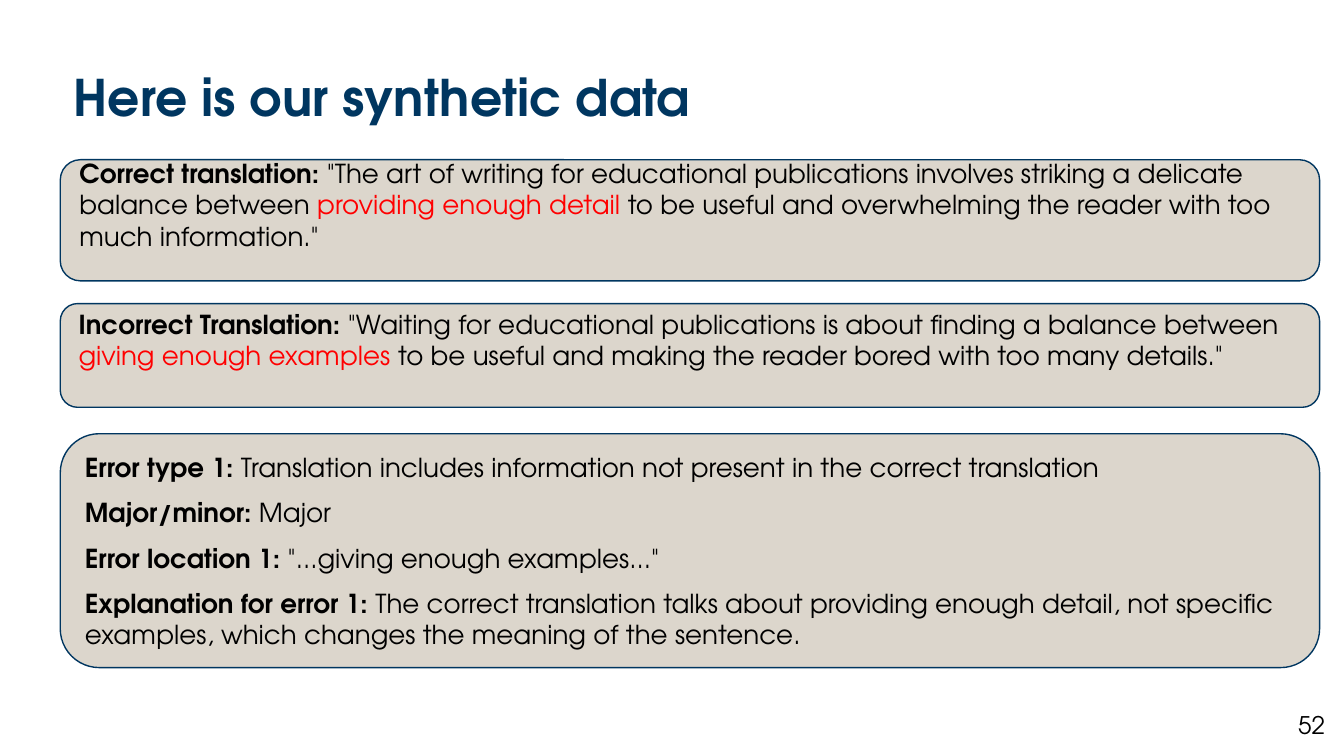
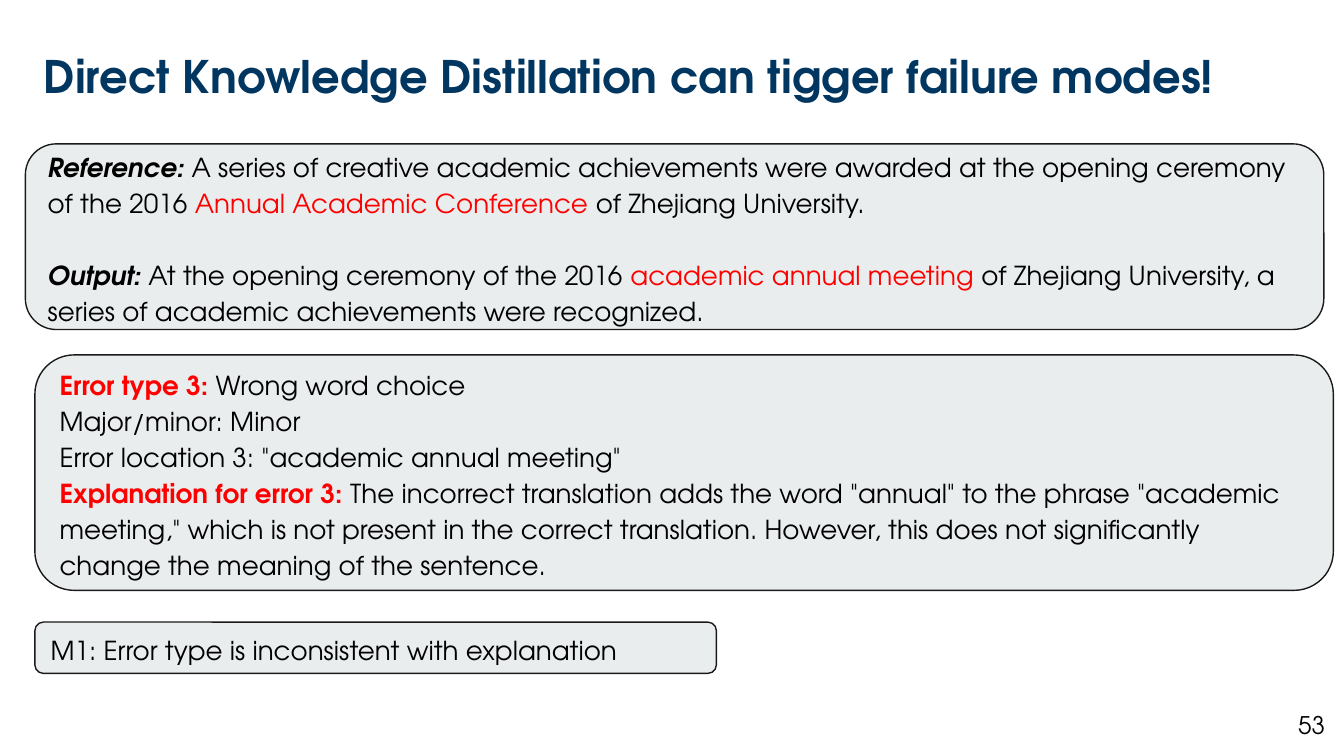
from dataclasses import dataclass
from pptx import Presentation
from pptx.dml.color import RGBColor
from pptx.enum.shapes import MSO_SHAPE
from pptx.enum.text import MSO_ANCHOR, PP_ALIGN
from pptx.util import Cm, Pt

FONT = "TeX Gyre Adventor"
NAVY = RGBColor(0x00, 0x36, 0x60)
SAND = RGBColor(0xDC, 0xD6, 0xCC)
MIST = RGBColor(0xE9, 0xED, 0xEE)
INK = RGBColor(0x1A, 0x1A, 0x1A)
BLACK = RGBColor(0x00, 0x00, 0x00)
RED = RGBColor(0xFF, 0x00, 0x00)
PAD = 0.25


@dataclass(frozen=True)
class Span:
    text: str
    bold: bool = False
    slant: bool = False
    color: RGBColor = BLACK


@dataclass(frozen=True)
class Theme:
    fill: RGBColor
    edge: RGBColor
    pitch: float


@dataclass(frozen=True)
class Card:
    left: float
    top: float
    width: float
    height: float
    lines: list[list[Span]]
    gap: float = 0
    foot: float = PAD


@dataclass(frozen=True)
class Page:
    title: str
    left: float
    top: float
    size: float
    number: int
    theme: Theme
    cards: list[Card]


def write(para, text: str, *, size: float = 14, color: RGBColor = BLACK,
          bold: bool = False, slant: bool = False) -> None:
    run = para.add_run()
    run.text = text
    font = run.font
    font.name, font.size = FONT, Pt(size)
    font.bold, font.italic = bold, slant
    font.color.rgb = color


def frame(shape, side: float = PAD, rim: float = PAD, foot: float = PAD):
    body = shape.text_frame
    body.word_wrap = True
    body.margin_left = body.margin_right = Cm(side)
    body.margin_top, body.margin_bottom = Cm(rim), Cm(foot)
    return body


def label(slide, text: str, left: float, top: float, width: float,
          height: float, rim: float, pitch: float, align: PP_ALIGN,
          **look) -> None:
    box = slide.shapes.add_textbox(Cm(left), Cm(top), Cm(width), Cm(height))
    para = frame(box, rim=rim, foot=rim).paragraphs[0]
    para.alignment = align
    para.line_spacing = pitch
    write(para, text, **look)


def panel(slide, card: Card, theme: Theme) -> None:
    shape = slide.shapes.add_shape(
        MSO_SHAPE.ROUNDED_RECTANGLE, Cm(card.left), Cm(card.top),
        Cm(card.width), Cm(card.height))
    shape.shadow.inherit = False
    shape.fill.solid()
    shape.fill.fore_color.rgb = theme.fill
    shape.line.color.rgb = theme.edge
    shape.line.width = Pt(0.75)
    body = frame(shape, foot=card.foot)
    body.vertical_anchor = MSO_ANCHOR.MIDDLE
    for index, spans in enumerate(card.lines):
        para = body.add_paragraph() if index else body.paragraphs[0]
        para.alignment = PP_ALIGN.LEFT
        para.line_spacing = theme.pitch
        para.space_before = Pt(card.gap if index else 0)
        for span in spans:
            write(para, span.text, color=span.color, bold=span.bold,
                  slant=span.slant)


def render(deck, page: Page) -> None:
    slide = deck.slides.add_slide(deck.slide_layouts[6])
    label(slide, page.title, page.left, page.top, 23.14, 0.97, 0.13, 0.9,
          PP_ALIGN.LEFT, size=page.size, color=NAVY, bold=True)
    for card in page.cards:
        panel(slide, card, page.theme)
    label(slide, str(page.number), 23.77, 13.18, 1.52, 1.09, PAD, 1.0,
          PP_ALIGN.RIGHT, size=13)


PAGES = [
    Page("Here is our synthetic data", 1.14, 1.24, 27, 52,
         Theme(SAND, NAVY, 1.0), [
             Card(1.14, 3.02, 23.8, 2.29, [[
                 Span("Correct translation: ", bold=True),
                 Span('"The art of writing for educational publications '
                      'involves striking a delicate balance between '),
                 Span("providing enough detail", color=RED),
                 Span(' to be useful and overwhelming the reader with too '
                      'much information."'),
             ]], foot=0.85),
             Card(1.14, 5.74, 23.8, 1.96, [[
                 Span("Incorrect Translation:", bold=True),
                 Span(' "Waiting for educational publications is about '
                      'finding a balance between '),
                 Span("giving enough examples ", color=RED),
                 Span('to be useful and making the reader bored with too '
                      'many details."'),
             ]], foot=0.85),
             Card(1.14, 8.2, 23.8, 4.42, [
                 [Span("Error type 1:", bold=True),
                  Span(" Translation includes information not present in "
                       "the correct translation")],
                 [Span("Major/minor: ", bold=True), Span("Major")],
                 [Span("Error location 1: ", bold=True),
                  Span('"...giving enough examples..."')],
                 [Span("Explanation for error 1:", bold=True),
                  Span(" The correct translation talks about providing "
                       "enough detail, not specific examples, which changes "
                       "the meaning of the sentence.")],
             ], gap=7.5),
         ]),
    Page("Direct Knowledge Distillation can tigger failure modes!",
         0.58, 0.91, 24, 53, Theme(MIST, INK, 1.15), [
             Card(0.48, 2.72, 24.54, 3.51, [
                 [Span("Reference: ", bold=True, slant=True),
                  Span("A series of creative academic achievements were "
                       "awarded at the opening ceremony of the 2016 "),
                  Span("Annual Academic Conference", color=RED),
                  Span(" of Zhejiang University.")],
                 [Span("Output: ", bold=True, slant=True),
                  Span("At the opening ceremony of the 2016 "),
                  Span("academic annual meeting", color=RED),
                  Span(" of Zhejiang University, a series of academic "
                       "achievements were recognized.")],
             ], gap=19.3),
             Card(0.66, 6.71, 24.54, 4.45, [
                 [Span("Error type 3:", bold=True, color=RED),
                  Span(" Wrong word choice")],
                 [Span("Major/minor: Minor")],
                 [Span('Error location 3: "academic annual meeting"')],
                 [Span("Explanation for error 3: ", bold=True, color=RED),
                  Span('The incorrect translation adds the word "annual" to '
                       'the phrase "academic meeting," which is not present '
                       'in the correct translation. However, this does not '
                       'significantly change the meaning of the sentence.')],
             ]),
             Card(0.66, 11.76, 12.88, 0.97, [
                 [Span("M1: Error type is inconsistent with explanation")],
             ]),
         ]),
]


def main() -> None:
    deck = Presentation()
    deck.slide_width, deck.slide_height = Cm(25.4), Cm(14.29)
    for page in PAGES:
        render(deck, page)
    deck.save("out.pptx")


if __name__ == "__main__":
    main()
